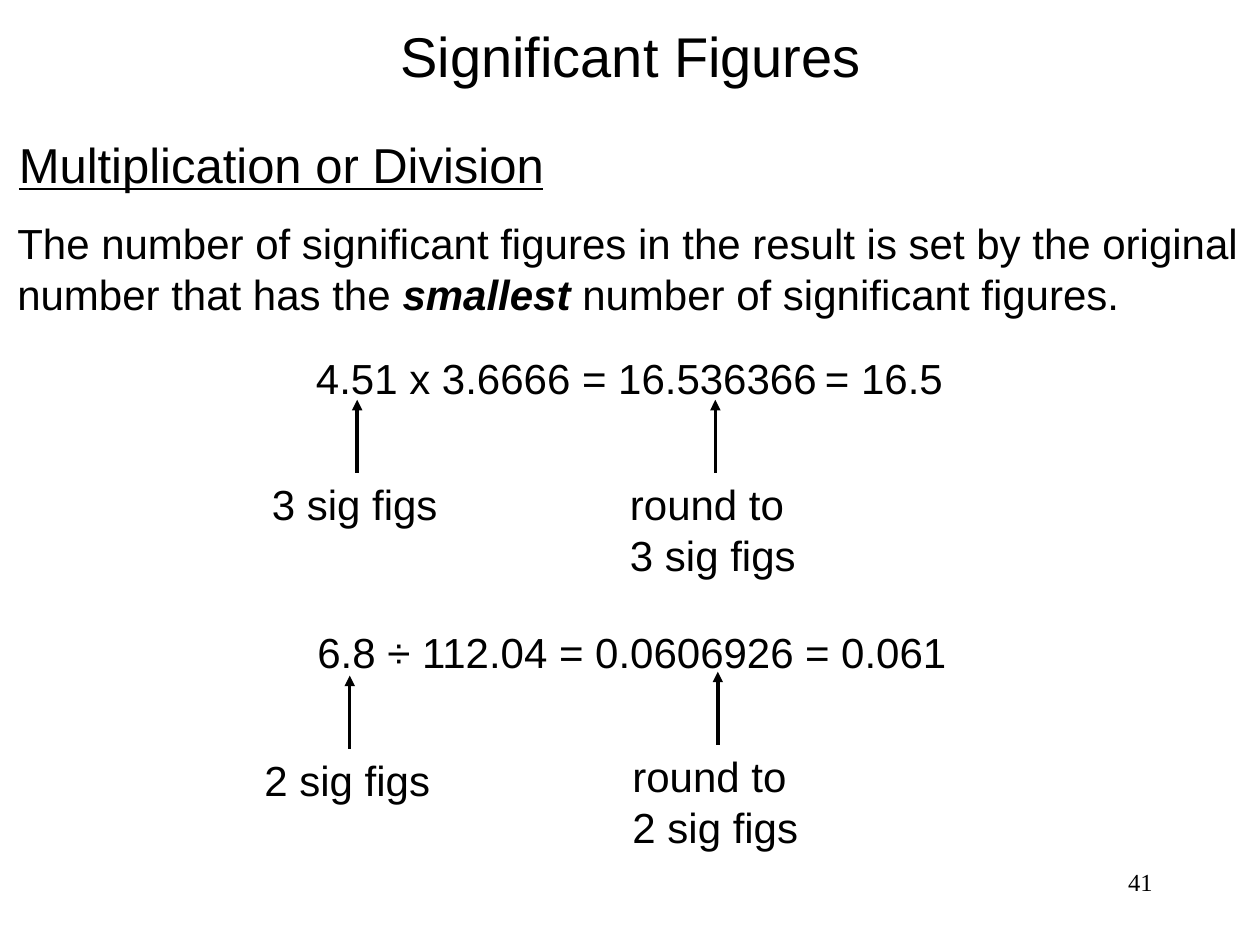
from pptx import Presentation
from pptx.dml.color import RGBColor
from pptx.enum.shapes import MSO_CONNECTOR
from pptx.enum.text import MSO_ANCHOR, MSO_AUTO_SIZE, PP_ALIGN
from pptx.oxml.ns import qn
from pptx.util import Cm, Pt
from lxml import etree

STRAIGHT = MSO_CONNECTOR.STRAIGHT
TOP = MSO_ANCHOR.TOP
FIXED = MSO_AUTO_SIZE.NONE
LEFT, CENTER, RIGHT = PP_ALIGN.LEFT, PP_ALIGN.CENTER, PP_ALIGN.RIGHT

COLORS = {"ink": "000000", "paper": "FFFFFF"}
LINE_HEIGHTS = {1: 1.27, 2: 2.29}
LABEL_WIDTH = 3.94
ARROW_LENGTH = 1.47

# Callouts are (left, top, lines), measured from the corner of the example
EXAMPLES = [
    {"box": (6.12, 6.98), "width": 10.75, "working": "4.51 x 3.6666 = 16.536366",
     "result": (10.26, 3, "= 16.5"),
     "callouts": [(-0.89, 2.55, ["3 sig figs"]),
                  (6.33, 2.55, ["round to", "3 sig figs"])]},
    {"box": (6.15, 12.5), "width": 10.5, "working": "6.8 ÷ 112.04 = 0.0606926",
     "result": (9.83, 3.4, "= 0.061"),
     "callouts": [(-1.07, 2.59, ["2 sig figs"]),
                  (6.35, 2.51, ["round to", "2 sig figs"])]},
]


def write(sp, paragraphs, size=24, font="Arial", align=LEFT, wrap=False):
    """Fill a shape with paragraphs, each a list of (text, font format) runs."""
    tf = sp.text_frame
    tf.word_wrap = wrap
    tf.vertical_anchor = TOP
    tf.auto_size = FIXED
    for i, runs in enumerate(paragraphs):
        p = tf.add_paragraph() if i else tf.paragraphs[0]
        p.alignment = align
        for text, extra in runs:
            r = p.add_run()
            r.text = text
            r.font.color.rgb = RGBColor.from_string(COLORS["ink"])
            for name, value in {"size": Pt(size), "name": font, **extra}.items():
                setattr(r.font, name, value)


def add_text(shapes, box, paragraphs, **style):
    sp = shapes.add_textbox(*map(Cm, box))
    write(sp, paragraphs, **style)
    return sp


def add_title(slide, box, text):
    sp = slide.shapes.title
    sp.left, sp.top, sp.width, sp.height = map(Cm, box)
    write(sp, [[(text, {})]], size=32, align=CENTER)


def add_rule(slide, x, y):
    """Underlined heading with the rounding rule below it."""
    add_text(slide.shapes, (x, y, 11.25, 1.45),
             [[("Multiplication or Division", {"underline": True})]], size=28)
    add_text(slide.shapes, (x - 0.03, y + 1.68, 25.2, 2.29), [[
        ("The number of significant figures in the result is set by the "
         "original number that has the ", {}),
        ("smallest", {"bold": True, "italic": True}),
        (" number of significant figures.", {}),
    ]], wrap=True)


def add_callout(slide, x, y, lines):
    """Label grouped with an arrow that rises from its top middle."""
    shapes = slide.shapes.add_group_shape().shapes
    label = add_text(shapes, (x, y, LABEL_WIDTH, LINE_HEIGHTS[len(lines)]),
                     [[(line, {})] for line in lines])
    mid = x + LABEL_WIDTH / 2
    arrow = shapes.add_connector(STRAIGHT, Cm(mid), Cm(y), Cm(mid), Cm(y - ARROW_LENGTH))
    arrow.begin_connect(label, 0)
    arrow.line.color.rgb = RGBColor.from_string(COLORS["ink"])
    arrow.line.width = Pt(2)
    etree.SubElement(arrow.line._get_or_add_ln(), qn("a:tailEnd"), type="triangle")
    etree.SubElement(arrow._element.spPr, qn("a:effectLst"))


def add_example(slide, x, y, example):
    dx, width, result = example["result"]
    height = LINE_HEIGHTS[1]
    add_text(slide.shapes, (x, y, example["width"], height), [[(example["working"], {})]])
    add_text(slide.shapes, (x + dx, y, width, height), [[(result, {})]])
    for left, top, lines in example["callouts"]:
        add_callout(slide, x + left, y + top, lines)


def main():
    prs = Presentation()
    prs.slide_width, prs.slide_height = Cm(25.4), Cm(19.05)
    slide = prs.slides.add_slide(prs.slide_layouts[5])
    fill = slide.background.fill
    fill.solid()
    fill.fore_color.rgb = RGBColor.from_string(COLORS["paper"])
    add_title(slide, (7.72, 0.3, 10, 1.63), "Significant Figures")
    add_rule(slide, 0.13, 2.59)
    for example in EXAMPLES:
        add_example(slide, *example["box"], example)
    add_text(slide.shapes, (18.21, 17.35, 5.28, 1.27), [[("41", {})]],
             size=14, font="Times New Roman", align=RIGHT, wrap=True)
    prs.save("out.pptx")


if __name__ == "__main__":
    main()
